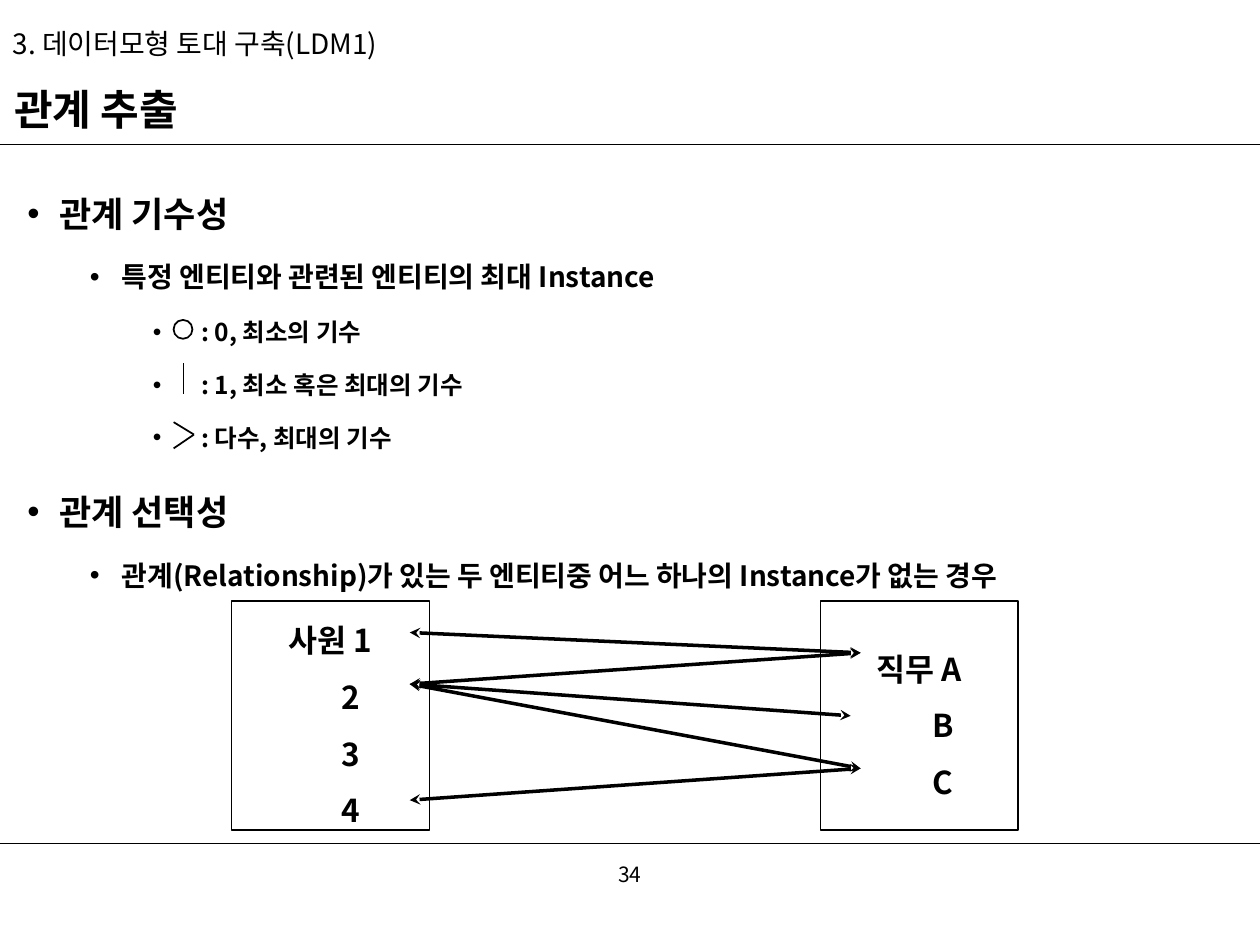
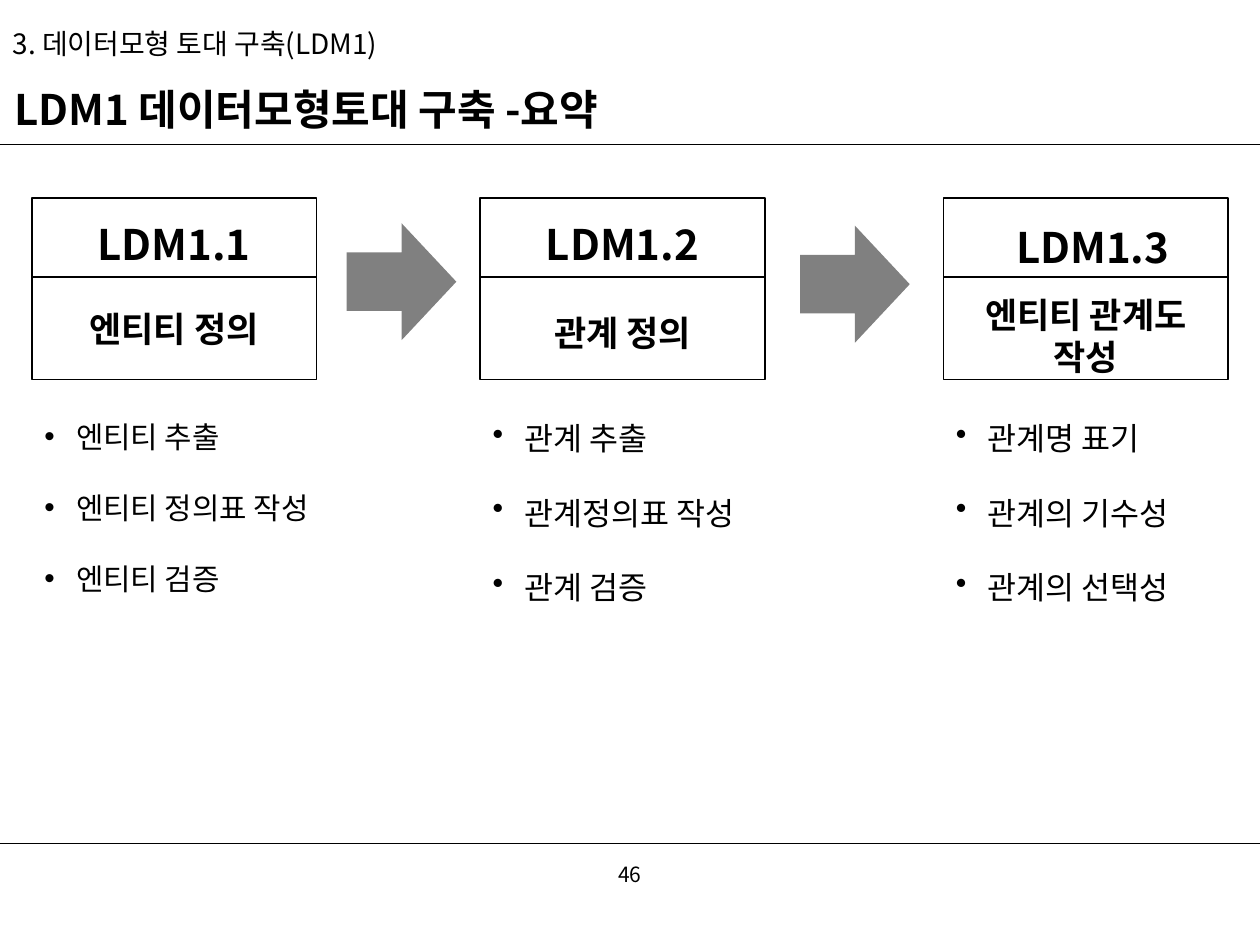
"""Build two slides on data model relationships and the LDM1 summary."""
from lxml import etree
from pptx import Presentation
from pptx.dml.color import RGBColor
from pptx.enum.shapes import MSO_CONNECTOR, MSO_SHAPE
from pptx.enum.text import MSO_ANCHOR, MSO_AUTO_SIZE, PP_ALIGN
from pptx.oxml.ns import qn
from pptx.util import Cm, Pt

BLACK = RGBColor(0, 0, 0)
WHITE = RGBColor(255, 255, 255)
GRAY = RGBColor(128, 128, 128)
FONT = "Noto Sans CJK KR"
STRAIGHT = MSO_CONNECTOR.STRAIGHT
RECTANGLE, OVAL, RIGHT_ARROW = MSO_SHAPE.RECTANGLE, MSO_SHAPE.OVAL, MSO_SHAPE.RIGHT_ARROW
LEFT, CENTER = PP_ALIGN.LEFT, PP_ALIGN.CENTER
TOP, MIDDLE = MSO_ANCHOR.TOP, MSO_ANCHOR.MIDDLE
NO_AUTOFIT = MSO_AUTO_SIZE.NONE
TWO_CONTENT = 3
SLIDE_WIDTH, SLIDE_HEIGHT = 25.4, 19.05
CHAPTER = "3. 데이터모형 토대 구축(LDM1)"
HANGING = 0.64


def write(paragraph, text, size=16, bold=False, align=LEFT, spacing=1.0,
          before=0, margin=0, hanging=0, level=0, bullet=None):
    """Fill a paragraph with formatted text."""
    paragraph.level = level
    properties = paragraph._p.get_or_add_pPr()
    properties.set("marL", str(Cm(margin)))
    properties.set("indent", str(-Cm(hanging)))
    if bullet:
        etree.SubElement(properties, qn("a:buChar")).set("char", bullet)
    else:
        etree.SubElement(properties, qn("a:buNone"))
    paragraph.alignment = align
    paragraph.line_spacing = spacing
    paragraph.space_before = Pt(before)
    run = paragraph.add_run()
    run.text = text
    run.font.size = Pt(size)
    run.font.bold = bold
    run.font.color.rgb = BLACK
    run.font.name = FONT
    east_asian = etree.SubElement(run._r.get_or_add_rPr(), qn("a:ea"))
    east_asian.set("typeface", FONT)


class Deck:
    """Hold the shared style and the current slide."""

    def __init__(self):
        self.presentation = Presentation()
        self.presentation.slide_width = Cm(SLIDE_WIDTH)
        self.presentation.slide_height = Cm(SLIDE_HEIGHT)
        self.slide = None

    def new_slide(self, heading, page):
        """Start a slide with its chapter, heading, rules and page number."""
        layout = self.presentation.slide_layouts[TWO_CONTENT]
        self.slide = self.presentation.slides.add_slide(layout)
        for rule_y in (2.92, 17):
            self.line(0, rule_y, SLIDE_WIDTH, rule_y, width=0.75)
        self.text(9.85, 17.12, 5.7, 1.02, [page], anchor=MIDDLE, size=12, align=CENTER)
        self.placeholder(0, 0, 0.25, SLIDE_WIDTH, 1.32, [CHAPTER], anchor=MIDDLE, spacing=0.9)
        self.placeholder(1, 0.03, 1.6, 24.8, 1.32, [heading], anchor=MIDDLE,
                         size=24, bold=True, spacing=0.9)

    def fill_frame(self, shape, items, anchor=TOP, **style):
        """Write strings, or (string, own style) pairs, into a shape."""
        frame = shape.text_frame
        frame.word_wrap = True
        frame.auto_size = NO_AUTOFIT
        frame.vertical_anchor = anchor
        for index, item in enumerate(items):
            text, own_style = (item, {}) if isinstance(item, str) else item
            paragraph = frame.add_paragraph() if index else frame.paragraphs[0]
            options = {**style, **own_style}
            if index == 0:
                options["before"] = 0
            write(paragraph, text, **options)

    def placeholder(self, index, x, y, width, height, items, **style):
        """Move a template placeholder and fill it."""
        holder = self.slide.placeholders[index]
        holder.left, holder.top, holder.width, holder.height = map(Cm, (x, y, width, height))
        self.fill_frame(holder, items, **style)

    def text(self, x, y, width, height, items, **style):
        """Add a text box."""
        box = self.slide.shapes.add_textbox(*map(Cm, (x, y, width, height)))
        self.fill_frame(box, items, **style)

    def shape(self, kind, x, y, width, height, fill=WHITE, outlined=True):
        """Add a preset shape."""
        shape = self.slide.shapes.add_shape(kind, *map(Cm, (x, y, width, height)))
        shape.shadow.inherit = False
        shape.fill.solid()
        shape.fill.fore_color.rgb = fill
        if outlined:
            shape.line.color.rgb = BLACK
            shape.line.width = Pt(1)
        else:
            shape.line.fill.background()
        return shape

    def line(self, x1, y1, x2, y2, width=1, arrows=False):
        """Add a straight line, with arrowheads at both ends if asked."""
        connector = self.slide.shapes.add_connector(STRAIGHT, *map(Cm, (x1, y1, x2, y2)))
        connector.line.color.rgb = BLACK
        connector.line.width = Pt(width)
        if arrows:
            for end in ("a:headEnd", "a:tailEnd"):
                etree.SubElement(connector.line._get_or_add_ln(), qn(end)).set("type", "stealth")
        etree.SubElement(connector._element.spPr, qn("a:effectLst"))


def cardinality_slide(deck):
    """Build the slide on relationship cardinality and optionality."""
    deck.new_slide("관계 추출", "34")
    topic = dict(size=20, before=10, margin=HANGING, hanging=HANGING)
    detail = dict(size=16, before=5, margin=1.9, hanging=HANGING, level=1)
    symbol = dict(size=14, before=5, margin=3.5, hanging=0.97, level=2)
    deck.placeholder(2, 0.3, 3.33, 24.8, 13.2, [
        ("관계 기수성", topic),
        ("특정 엔티티와 관련된 엔티티의 최대 Instance", detail),
        (": 0, 최소의 기수", symbol),
        (": 1, 최소 혹은 최대의 기수", symbol),
        (": 다수, 최대의 기수", symbol),
        ("관계 선택성", topic),
        ("관계(Relationship)가 있는 두 엔티티중 어느 하나의 Instance가 없는 경우", detail),
    ], bold=True, spacing=1.5, bullet="•")

    entities = (
        (4.67, "사원 1", "234", 0.82),
        (16.54, "직무 A", "BC", 0.96),
    )
    for x, first, others, margin in entities:
        entity = deck.shape(RECTANGLE, x, 12.12, 3.99, 4.62)
        instances = [first] + [(name, dict(margin=margin)) for name in others]
        deck.fill_frame(entity, instances, anchor=MIDDLE, size=18, bold=True,
                        align=CENTER, spacing=1.5)

    employee_1, employee_2, employee_4 = 12.75, 13.79, 16.13
    job_a, job_b, job_c = (17.35, 13.16), (17.15, 14.43), (17.35, 15.49)
    relations = ((employee_1, job_a), (employee_2, job_b), (employee_4, job_c),
                 (employee_2, job_a), (employee_2, job_c))
    for employee_y, job in relations:
        deck.line(8.26, employee_y, *job, width=2, arrows=True)

    deck.shape(OVAL, 3.5, 6.45, 0.38, 0.38)
    deck.line(3.7, 7.32, 3.7, 7.95)
    for foot_y in (8.51, 9.04):
        deck.line(3.5, foot_y, 3.91, 8.76)


def summary_slide(deck):
    """Build the slide that sums up the three LDM1 steps."""
    deck.new_slide("LDM1 데이터모형토대 구축 -요약", "46")
    steps = (
        (0.64, "LDM1.1", 0, 4.29, "엔티티 정의", 6.07, 17,
         ["엔티티 추출", "엔티티 정의표 작성", "엔티티 검증"]),
        (9.68, "LDM1.2", 0, 4.29, "관계 정의", 6.15, 18,
         ["관계 추출", "관계정의표 작성", "관계 검증"]),
        (19.02, "LDM1.3", 0.14, 4.34, "엔티티 관계도 작성", 5.79, 18,
         ["관계명 표기", "관계의 기수성", "관계의 선택성"]),
    )
    card_width = 5.74
    for x, code, code_shift, code_y, name, name_y, task_size, tasks in steps:
        deck.shape(RECTANGLE, x, 3.99, card_width, 3.66)
        deck.line(x, 5.59, x + card_width, 5.59)
        deck.text(x + code_shift, code_y, card_width, 1.3, [code],
                  size=24, bold=True, align=CENTER)
        deck.text(x, name_y, card_width, 1.12, [name], size=20, bold=True, align=CENTER)
        task_area = (x, 7.95, 6.35, 4.67)
        task_style = dict(size=task_size, spacing=1.5, before=10, margin=HANGING,
                          hanging=HANGING, bullet="•")
        if code == "LDM1.1":
            deck.placeholder(2, *task_area, tasks, **task_style)
        else:
            deck.text(*task_area, tasks, **task_style)
    for x, y in ((6.99, 4.5), (16.13, 4.55)):
        deck.shape(RIGHT_ARROW, x, y, 2.21, 2.36, fill=GRAY, outlined=False)


def main():
    """Build and save the presentation."""
    deck = Deck()
    cardinality_slide(deck)
    summary_slide(deck)
    deck.presentation.save("out.pptx")


if __name__ == "__main__":
    main()
